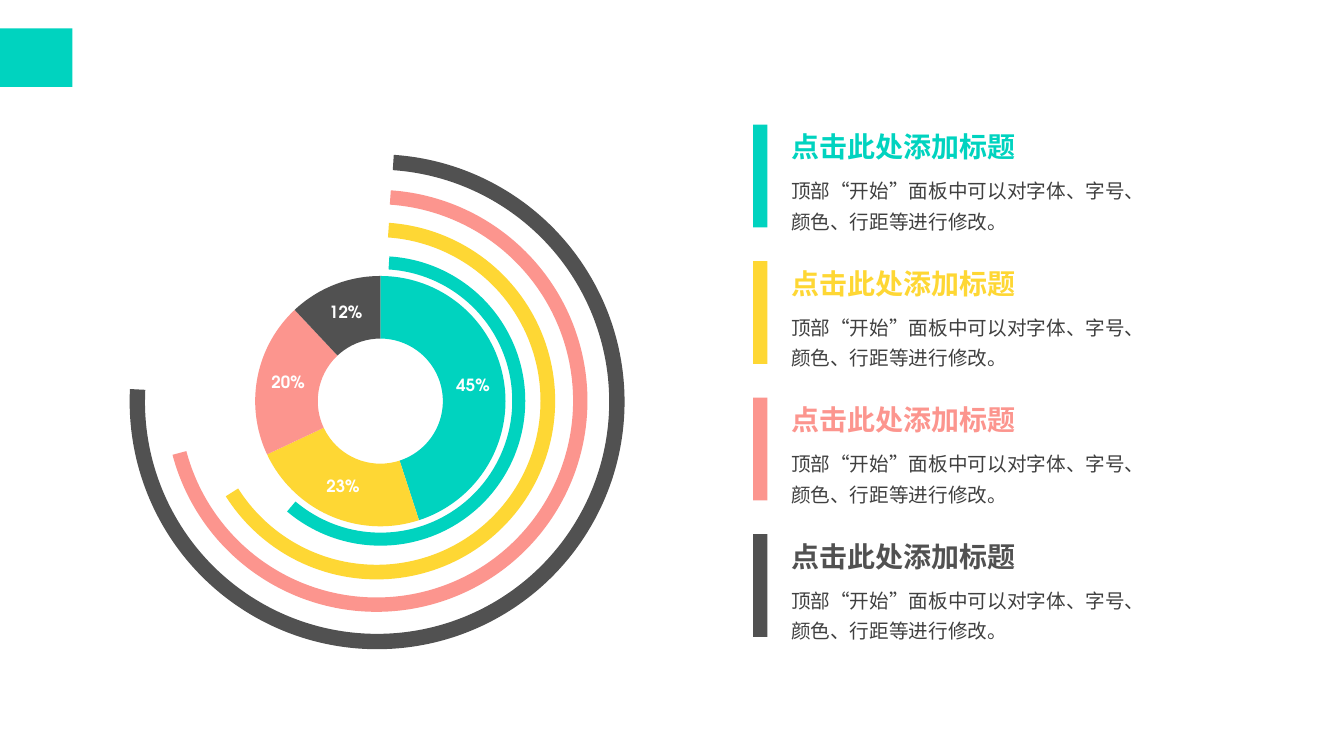
"""Build a slide with a doughnut chart, four arcs and four captioned cards."""
from pptx import Presentation
from pptx.chart.data import CategoryChartData
from pptx.dml.color import RGBColor
from pptx.enum.chart import XL_CHART_TYPE
from pptx.enum.shapes import MSO_SHAPE
from pptx.enum.text import MSO_AUTO_SIZE
from pptx.util import Pt

RECT, ARC = MSO_SHAPE.RECTANGLE, MSO_SHAPE.BLOCK_ARC
DOUGHNUT = XL_CHART_TYPE.DOUGHNUT
GROW = MSO_AUTO_SIZE.SHAPE_TO_FIT_TEXT

THEME = {
    "font": "TeX Gyre Adventor",
    "accents": ["00D3BF", "FED734", "FC958E", "515151"],
    "text": "404040", "label": "FFFFFF", "chart": "000000",
    "title_size": 20, "body_size": 14, "label_size": 12, "chart_size": 10,
}

TITLE = "点击此处添加标题"
BODY = "顶部“开始”面板中可以对字体、字号、颜色、行距等进行修改。"
CARDS = [(TITLE, BODY)] * 4
SHARES = [45, 23, 20, 12]
ARCS = [
    {"left": 168.4, "top": 183, "size": 206.8, "start": 273.5, "end": 130.2, "band": 0.045},
    {"left": 141.6, "top": 158.9, "size": 255, "start": 273.96, "end": 147.7, "band": 0.041},
    {"left": 118.2, "top": 135.6, "size": 301.4, "start": 273.9, "end": 165.18, "band": 0.034},
    {"left": 92.6, "top": 110.2, "size": 353.5, "start": 273.87, "end": 182.94, "band": 0.031},
]
ARC_UNITS_PER_DEGREE = 0.6

CHART_BOX = (165.6, 187.2, 212.4, 198.7)
CORNER_BOX = (0, 20.2, 51.8, 41.8)
CARD_TOP, CARD_PITCH = 89.1, 97.5
BAR_LEFT, BAR_WIDTH, BAR_HEIGHT = 537.9, 10.2, 73.4
TEXT_LEFT = 558
TITLE_WIDTH, TITLE_HEIGHT = 176.4, 31.7
BODY_OFFSET, BODY_WIDTH, BODY_HEIGHT = 30.4, 257.8, 51.1


def style_font(font, size, color, bold=False):
    values = {"name": THEME["font"], "size": Pt(size), "bold": bold}
    for name, value in values.items():
        setattr(font, name, value)
    font.color.rgb = RGBColor.from_string(color)


def add_block(s, kind, box, color):
    sp = s.shapes.add_shape(kind, *map(Pt, box))
    sp.shadow.inherit = False
    sp.fill.solid()
    sp.fill.fore_color.rgb = RGBColor.from_string(color)
    sp.line.fill.background()
    return sp


def add_text(s, box, text, size, color, bold=False, wrap=True, spacing=None):
    tf = s.shapes.add_textbox(*map(Pt, box)).text_frame
    tf.word_wrap = wrap
    tf.auto_size = GROW
    p = tf.paragraphs[0]
    p.line_spacing = spacing
    r = p.add_run()
    r.text = text
    style_font(r.font, size, color, bold)


def add_doughnut(s):
    data = CategoryChartData()
    data.categories = [str(i + 1) for i in range(len(SHARES))]
    data.add_series("Series 1", SHARES)
    chart = s.shapes.add_chart(DOUGHNUT, *map(Pt, CHART_BOX), data).chart
    chart.has_legend = False
    chart.has_title = False
    style_font(chart.font, THEME["chart_size"], THEME["chart"])
    plot = chart.plots[0]
    plot.vary_by_categories = True
    for i, color in enumerate(THEME["accents"]):
        fmt = plot.series[0].points[i].format
        fmt.fill.solid()
        fmt.fill.fore_color.rgb = RGBColor.from_string(color)
        fmt.line.fill.background()
    labels = plot.series[0].data_labels
    values = {"show_percentage": True, "show_value": False,
              "number_format": "0%", "number_format_is_linked": False}
    for name, value in values.items():
        setattr(labels, name, value)
    style_font(labels.font, THEME["label_size"], THEME["label"], True)


def add_arc(s, arc, color):
    box = (arc["left"], arc["top"], arc["size"], arc["size"])
    sp = add_block(s, ARC, box, color)
    sp.adjustments[0] = arc["start"] * ARC_UNITS_PER_DEGREE
    sp.adjustments[1] = arc["end"] * ARC_UNITS_PER_DEGREE
    sp.adjustments[2] = arc["band"]


def add_card(s, top, title, body, color):
    add_text(s, (TEXT_LEFT, top + BODY_OFFSET, BODY_WIDTH, BODY_HEIGHT),
             body, THEME["body_size"], THEME["text"], spacing=1.3)
    add_text(s, (TEXT_LEFT, top, TITLE_WIDTH, TITLE_HEIGHT),
             title, THEME["title_size"], color, bold=True, wrap=False)
    add_block(s, RECT, (BAR_LEFT, top, BAR_WIDTH, BAR_HEIGHT), color)


def main():
    prs = Presentation()
    prs.slide_width, prs.slide_height = Pt(960), Pt(540)
    s = prs.slides.add_slide(prs.slide_layouts[6])
    add_block(s, RECT, CORNER_BOX, THEME["accents"][0])
    add_doughnut(s)
    for arc, color in zip(ARCS, THEME["accents"]):
        add_arc(s, arc, color)
    for i, ((title, body), color) in enumerate(zip(CARDS, THEME["accents"])):
        add_card(s, CARD_TOP + i * CARD_PITCH, title, body, color)
    prs.save("out.pptx")


if __name__ == "__main__":
    main()
